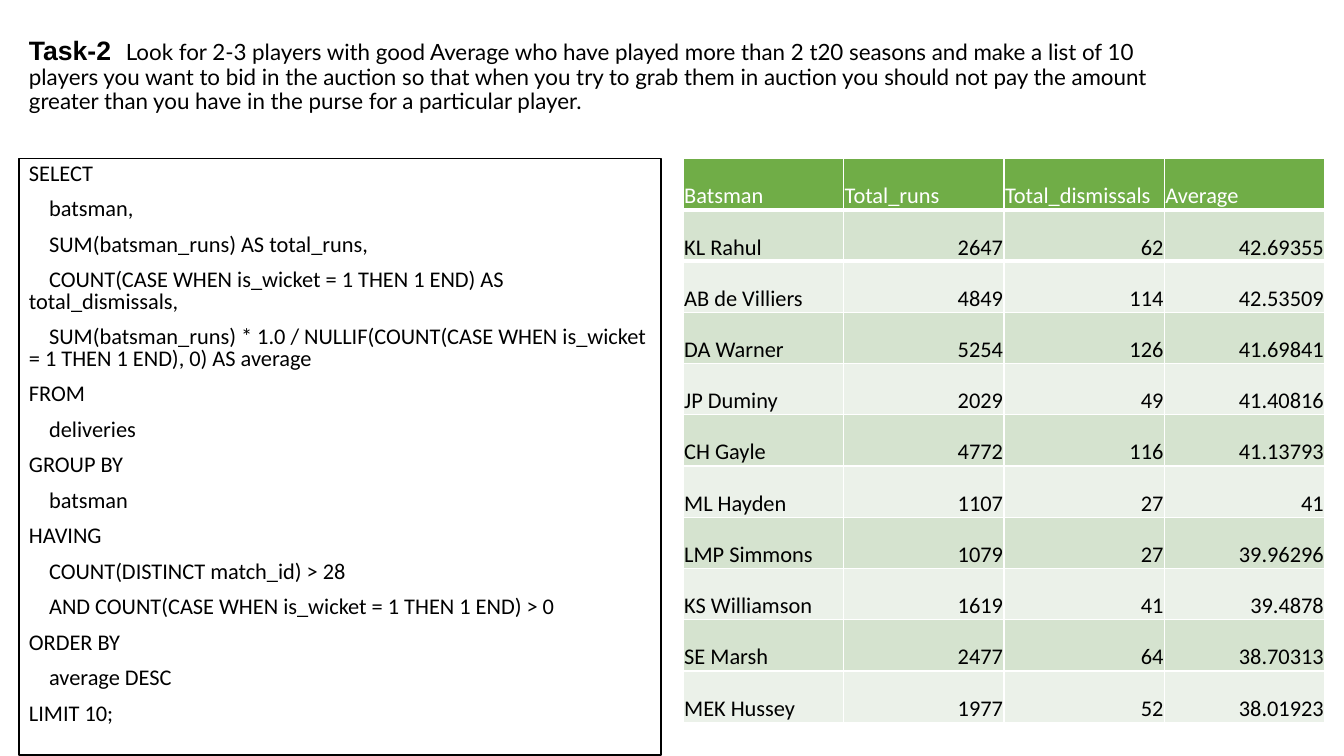
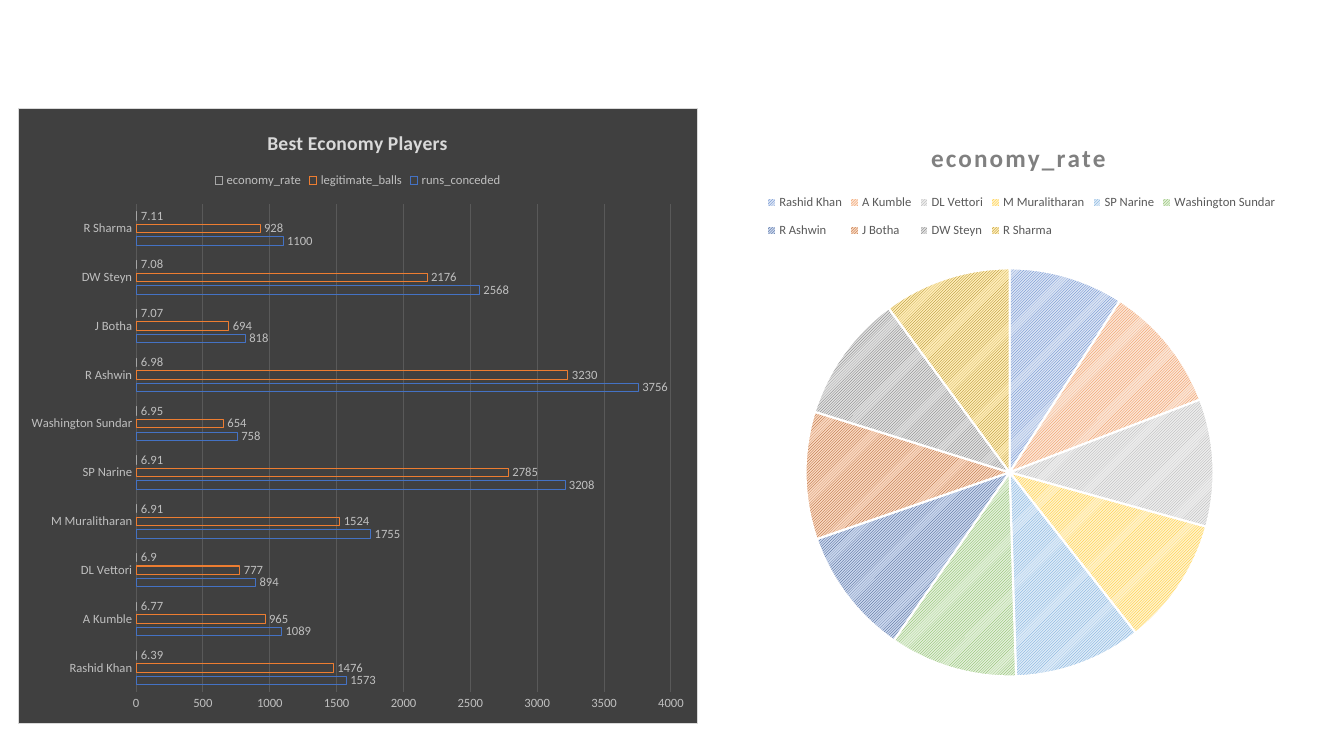
from lxml import etree
from pptx import Presentation
from pptx import util as u
from pptx.chart.data import CategoryChartData
from pptx.dml.color import RGBColor
from pptx.enum import chart as charts, dml, text
from pptx.oxml import parse_xml
from pptx.oxml.ns import nsdecls, qn

BLACK = RGBColor(0x00, 0x00, 0x00)
WHITE = RGBColor(0xFF, 0xFF, 0xFF)
GREEN = RGBColor(0x70, 0xAD, 0x47)
GREEN_BANDS = (RGBColor(0xD5, 0xE3, 0xCF), RGBColor(0xEB, 0xF1, 0xE9))
CHARCOAL = RGBColor(0x40, 0x40, 0x40)
GRID_GREY = RGBColor(0x59, 0x59, 0x59)
LABEL_GREY = RGBColor(0xBF, 0xBF, 0xBF)
PALE_GREY = RGBColor(0xD9, 0xD9, 0xD9)
TITLE_GREY = RGBColor(0x80, 0x80, 0x80)
SERIES_COLORS = (RGBColor(0x44, 0x72, 0xC4), RGBColor(0xED, 0x7D, 0x31), RGBColor(0xA5, 0xA5, 0xA5))
SLICE_COLORS = [
    (RGBColor.from_string(front), RGBColor.from_string(back))
    for front, back in (
        ("4472C4", "DAE3F3"), ("ED7D31", "FBE5D6"), ("A5A5A5", "EDEDED"),
        ("FFC000", "FFF2CC"), ("5B9BD5", "DEEBF7"), ("70AD47", "E2F0D9"),
        ("264478", "CAD7EE"), ("9E480E", "FAD8C1"), ("636363", "E0E0E0"),
        ("997300", "FFEDB8"),
    )
]
FONT = "Calibri"

TASK = (
    "Look for 2-3 players with good Average who have played more than 2 t20 seasons "
    "and make a list of 10 players you want to bid in the auction so that when you try "
    "to grab them in auction you should not pay the amount greater than you have in the "
    "purse for a particular player."
)
QUERY = """SELECT
    batsman,
    SUM(batsman_runs) AS total_runs,
    COUNT(CASE WHEN is_wicket = 1 THEN 1 END) AS total_dismissals,
    SUM(batsman_runs) * 1.0 / NULLIF(COUNT(CASE WHEN is_wicket = 1 THEN 1 END), 0) AS average
FROM
    deliveries
GROUP BY
    batsman
HAVING
    COUNT(DISTINCT match_id) > 28
    AND COUNT(CASE WHEN is_wicket = 1 THEN 1 END) > 0
ORDER BY
    average DESC
LIMIT 10;"""
BATSMEN = (
    ("Batsman", "Total_runs", "Total_dismissals", "Average"),
    ("KL Rahul", "2647", "62", "42.69355"),
    ("AB de Villiers", "4849", "114", "42.53509"),
    ("DA Warner", "5254", "126", "41.69841"),
    ("JP Duminy", "2029", "49", "41.40816"),
    ("CH Gayle", "4772", "116", "41.13793"),
    ("ML Hayden", "1107", "27", "41"),
    ("LMP Simmons", "1079", "27", "39.96296"),
    ("KS Williamson", "1619", "41", "39.4878"),
    ("SE Marsh", "2477", "64", "38.70313"),
    ("MEK Hussey", "1977", "52", "38.01923"),
)
BOWLERS = (
    "Rashid Khan", "A Kumble", "DL Vettori", "M Muralitharan", "SP Narine",
    "Washington Sundar", "R Ashwin", "J Botha", "DW Steyn", "R Sharma",
)
BOWLING = {
    "runs_conceded": (1573, 1089, 894, 1755, 3208, 758, 3756, 818, 2568, 1100),
    "legitimate_balls": (1476, 965, 777, 1524, 2785, 654, 3230, 694, 2176, 928),
    "economy_rate": (6.39, 6.77, 6.9, 6.91, 6.91, 6.95, 6.98, 7.07, 7.08, 7.11),
}
ECONOMY_SHARES = {"economy_rate": (9, 10, 10, 10, 10, 10, 10, 10, 10, 10)}


def style_font(font, size, color, name=FONT, bold=False):
    """Set the face, size, colour and weight of a font."""
    font.name = name
    font.size = u.Pt(size)
    font.bold = bold
    font.color.rgb = color


def place(shape, left, top, width, height):
    """Move and size a shape in points."""
    shape.left, shape.top = u.Pt(left), u.Pt(top)
    shape.width, shape.height = u.Pt(width), u.Pt(height)


def fill_title(shape, label, message):
    """Write a bold label and a plain message into the title."""
    place(shape, 13.5, 10, 828, 88)
    frame = shape.text_frame
    frame.auto_size = text.MSO_AUTO_SIZE.NONE
    frame.vertical_anchor = text.MSO_ANCHOR.MIDDLE
    paragraph = frame.paragraphs[0]
    paragraph.alignment = text.PP_ALIGN.LEFT
    paragraph.line_spacing = 0.9
    for content, size, name, bold in ((label, 19, "Arial", True), (message, 16, "Lato", False)):
        run = paragraph.add_run()
        run.text = content
        style_font(run.font, size, BLACK, name, bold)


def fill_query(shape, query):
    """Show a query as unbulleted lines in the framed body."""
    place(shape, 13.5, 113.4, 458.6, 426)
    shape.fill.solid()
    shape.fill.fore_color.rgb = WHITE
    shape.line.color.rgb = BLACK
    shape.line.width = u.Pt(1)
    frame = shape.text_frame
    frame.auto_size = text.MSO_AUTO_SIZE.NONE
    frame.text = query
    for index, paragraph in enumerate(frame.paragraphs):
        properties = paragraph._p.get_or_add_pPr()
        properties.set("marL", "0")
        properties.set("indent", "0")
        etree.SubElement(properties, qn("a:buNone"))
        paragraph.line_spacing = 0.8
        paragraph.space_before = u.Pt(10 if index else 0)
        style_font(paragraph.runs[0].font, 16, BLACK)


def set_cell_border(cell, side, width):
    """Draw a white border on one side of a cell."""
    cell._tc.get_or_add_tcPr().insert(0, parse_xml(
        f'<a:{side} {nsdecls("a")} w="{u.Pt(width)}"><a:solidFill>'
        f'<a:srgbClr val="{WHITE}"/></a:solidFill></a:{side}>'
    ))


def add_stats_table(slide, rows):
    """Add a banded table with right-aligned figures."""
    frame = slide.shapes.add_table(
        len(rows), len(rows[0]), u.Pt(488), u.Pt(113.3), u.Pt(458.4), u.Pt(402.6)
    )
    for row_index, row in enumerate(rows):
        for column_index, value in enumerate(row):
            cell = frame.table.cell(row_index, column_index)
            cell.margin_left = cell.margin_right = cell.margin_top = u.Pt(0.75)
            cell.margin_bottom = u.Pt(0)
            cell.vertical_anchor = text.MSO_ANCHOR.BOTTOM
            cell.fill.solid()
            cell.fill.fore_color.rgb = GREEN_BANDS[(row_index - 1) % 2] if row_index else GREEN
            if row_index < 2:
                set_cell_border(cell, "lnT" if row_index else "lnB", 3)
            cell.text = value
            paragraph = cell.text_frame.paragraphs[0]
            if row_index and column_index:
                paragraph.alignment = text.PP_ALIGN.RIGHT
            style_font(paragraph.runs[0].font, 16, BLACK if row_index else WHITE)


def add_titled_chart(slide, kind, box, series, title, title_size, title_color, legend_color):
    """Add a chart with a bold title and a legend on top."""
    data = CategoryChartData()
    data.categories = BOWLERS
    for name, values in series.items():
        data.add_series(name, values)
    chart = slide.shapes.add_chart(kind, *map(u.Pt, box), data).chart
    style_font(chart.font, 10, BLACK)
    chart.has_title = True
    chart.chart_title.include_in_layout = False
    chart.chart_title.text_frame.text = title
    run = chart.chart_title.text_frame.paragraphs[0].runs[0]
    style_font(run.font, title_size, title_color, bold=True)
    chart.has_legend = True
    chart.legend.position = charts.XL_LEGEND_POSITION.TOP
    chart.legend.include_in_layout = False
    style_font(chart.legend.font, 9, legend_color)
    return chart


def paint_background(chart, fill, border):
    """Give the chart area a fill and border and clear the plot area."""
    area = chart._chartSpace.find(qn("c:chart"))
    area.addnext(parse_xml(
        f'<c:spPr {nsdecls("c", "a")}><a:solidFill><a:srgbClr val="{fill}"/></a:solidFill>'
        f'<a:ln w="{u.Pt(0.75)}"><a:solidFill><a:srgbClr val="{border}"/></a:solidFill></a:ln>'
        "</c:spPr>"
    ))
    area.find(qn("c:plotArea")).append(
        parse_xml(f'<c:spPr {nsdecls("c", "a")}><a:noFill/></c:spPr>')
    )


def set_layout(chart, part, index, target="", **fractions):
    """Fix a part of the chart as fractions of the whole."""
    element = chart._chartSpace.find(qn("c:chart")).find(qn(part))
    for layout in element.findall(qn("c:layout")):
        element.remove(layout)
    values = "".join(f'<c:{key} val="{value}"/>' for key, value in fractions.items())
    element.insert(index, parse_xml(
        f'<c:layout {nsdecls("c")}><c:manualLayout>{target}'
        f'<c:xMode val="edge"/><c:yMode val="edge"/>{values}</c:manualLayout></c:layout>'
    ))


def add_bowling_bars(slide):
    """Add the dark bar chart with outlined bars."""
    chart = add_titled_chart(
        slide, charts.XL_CHART_TYPE.BAR_CLUSTERED, (12.5, 77, 486, 440),
        BOWLING, "Best Economy Players", 14, PALE_GREY, LABEL_GREY,
    )
    paint_background(chart, CHARCOAL, PALE_GREY)
    for axis in (chart.category_axis, chart.value_axis):
        axis.major_tick_mark = axis.minor_tick_mark = charts.XL_TICK_MARK.NONE
        axis.format.line.fill.background()
        style_font(axis.tick_labels.font, 9, LABEL_GREY)
    gridlines = chart.value_axis.major_gridlines.format.line
    gridlines.color.rgb = GRID_GREY
    gridlines.width = u.Pt(0.75)
    plot = chart.plots[0]
    plot.vary_by_categories = False
    plot.gap_width = 182
    plot.overlap = -50
    for series, color in zip(plot.series, SERIES_COLORS):
        series.format.fill.background()
        series.format.line.color.rgb = color
        series.format.line.width = u.Pt(0.75)
        labels = series.data_labels
        labels.show_value = True
        labels.position = charts.XL_LABEL_POSITION.OUTSIDE_END
        style_font(labels.font, 9, LABEL_GREY)


def add_economy_pie(slide):
    """Add the pie chart with hatched slices."""
    chart = add_titled_chart(
        slide, charts.XL_CHART_TYPE.PIE, (515.5, 85, 424, 410.5),
        ECONOMY_SHARES, "economy_rate", 18, TITLE_GREY, GRID_GREY,
    )
    run = chart.chart_title.text_frame.paragraphs[0].runs[0]
    run.font._element.set("spc", "150")
    inner = '<c:layoutTarget val="inner"/>'
    set_layout(chart, "c:plotArea", 0, inner, x=0.14, y=0.26, w=0.69, h=0.71)
    set_layout(chart, "c:legend", 1, x=0.07, y=0.11, w=0.87, h=0.12)
    series = chart.plots[0].series[0]
    for index, (front, back) in enumerate(SLICE_COLORS):
        style = series.points[index].format
        style.fill.patterned()
        style.fill.pattern = dml.MSO_PATTERN.LIGHT_UPWARD_DIAGONAL
        style.fill.fore_color.rgb = front
        style.fill.back_color.rgb = back
        style.line.color.rgb = WHITE
        style.line.width = u.Pt(1.5)


def main():
    """Build and save the two slides."""
    presentation = Presentation()
    presentation.slide_width, presentation.slide_height = u.Pt(960), u.Pt(540)
    layouts = presentation.slide_layouts

    batting = presentation.slides.add_slide(layouts.get_by_name("Title and Content"))
    fill_title(batting.shapes.title, "Task-2  ", TASK)
    fill_query(batting.placeholders[1], QUERY)
    add_stats_table(batting, BATSMEN)

    bowling = presentation.slides.add_slide(layouts.get_by_name("Blank"))
    add_bowling_bars(bowling)
    add_economy_pie(bowling)
    presentation.save("out.pptx")


if __name__ == "__main__":
    main()
